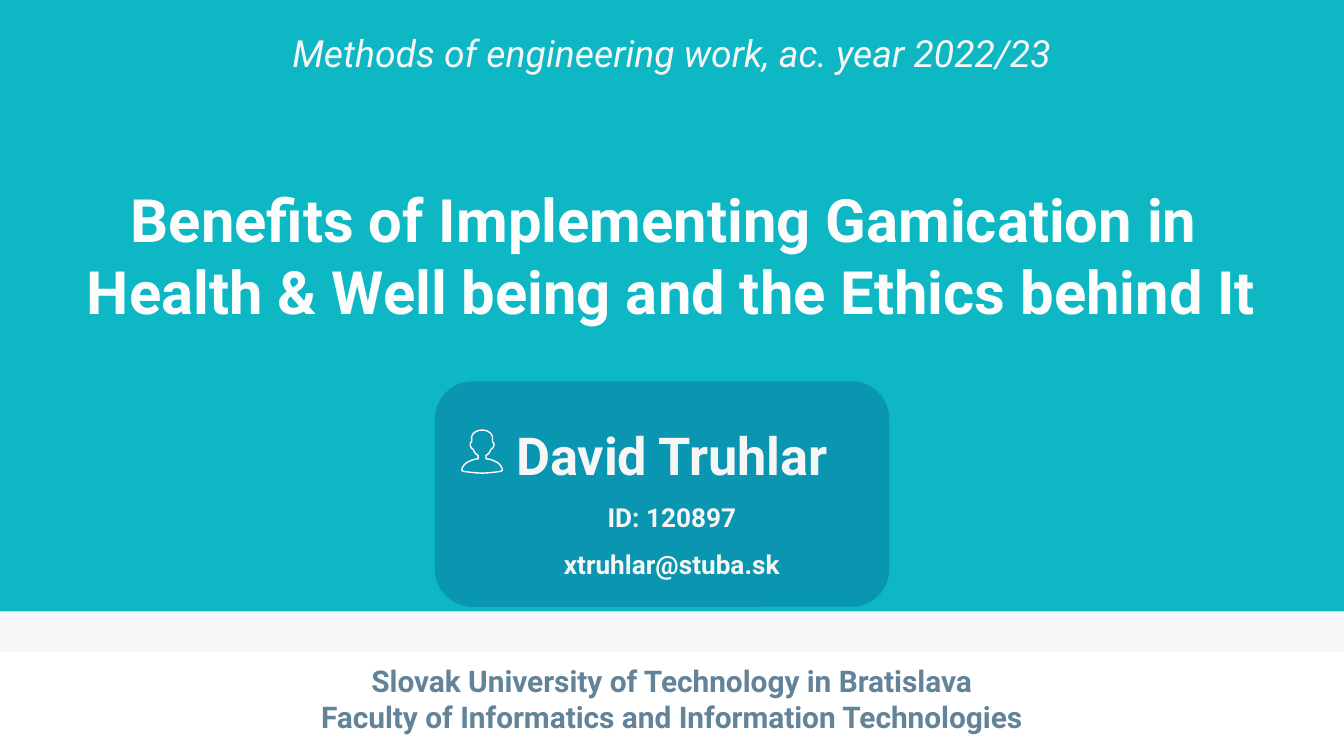
from dataclasses import dataclass

from pptx import Presentation
from pptx import util as u
from pptx.dml.color import RGBColor
from pptx.enum import shapes, text

Pt = u.Pt


@dataclass(frozen=True)
class Theme:
    font: str = "Roboto"
    white: str = "FFFFFF"
    title_text: str = "FDFDFD"
    light: str = "F6F6F6"
    teal: str = "0DB7C4"
    card: str = "0A95B0"
    slate: str = "638399"
    title: int = 32
    name: int = 28
    course: int = 20
    school: int = 16
    detail: int = 14


def write_text(frame, content, *, font, size, color, bold=False, italic=False):
    """Write centred paragraphs, one for each line of content."""
    for index, line in enumerate(content.split("\n")):
        paragraph = frame.paragraphs[0] if index == 0 else frame.add_paragraph()
        paragraph.alignment = text.PP_ALIGN.CENTER
        # A vertical tab breaks the line within a paragraph
        paragraph.text = line
        for run in paragraph.runs:
            run.font.name = font
            run.font.size = Pt(size)
            run.font.bold = bold
            run.font.italic = italic
            run.font.color.rgb = RGBColor.from_string(color)


class SlideBuilder:
    def __init__(self, slide, theme):
        self.slide = slide
        self.theme = theme

    def background(self, color):
        fill = self.slide.background.fill
        fill.solid()
        fill.fore_color.rgb = RGBColor.from_string(color)

    def block(self, kind, left, top, width, height, color):
        shape = self.slide.shapes.add_shape(
            kind, Pt(left), Pt(top), Pt(width), Pt(height))
        shape.shadow.inherit = False
        shape.fill.solid()
        shape.fill.fore_color.rgb = RGBColor.from_string(color)
        shape.line.fill.background()
        return shape

    def label(self, content, left, top, width, height, *, inset=3.6,
              anchor=text.MSO_ANCHOR.TOP, **style):
        box = self.slide.shapes.add_textbox(
            Pt(left), Pt(top), Pt(width), Pt(height))
        frame = box.text_frame
        frame.word_wrap = True
        frame.vertical_anchor = anchor
        frame.margin_top = frame.margin_bottom = Pt(inset)
        write_text(frame, content, font=self.theme.font, **style)
        return box

    def mirrored_outline(self, half, center, top, unit, color, weight):
        """Draw a closed outline from its right half, mirrored about center."""
        points = half + [(-x, y) for x, y in reversed(half[1:-1])]
        outline = self.slide.shapes.build_freeform(*points[0], scale=Pt(unit))
        outline.add_line_segments(points[1:], close=True)
        shape = outline.convert_to_shape(Pt(center), Pt(top))
        shape.shadow.inherit = False
        shape.fill.background()
        shape.line.color.rgb = RGBColor.from_string(color)
        shape.line.width = Pt(weight)
        return shape


def main():
    theme = Theme()
    presentation = Presentation()
    presentation.slide_width = Pt(720)
    presentation.slide_height = Pt(405)
    slide = presentation.slides.add_slide(presentation.slide_layouts[6])
    builder = SlideBuilder(slide, theme)

    # Background bands
    builder.background(theme.white)
    builder.block(shapes.MSO_SHAPE.RECTANGLE, 0, 327.6, 720, 21.6, theme.light)
    builder.block(shapes.MSO_SHAPE.RECTANGLE, 0, 0, 720, 327.6, theme.teal)

    # Title
    builder.label(
        "Benefits of Implementing Gamication in \v"
        "Health & Well being and the Ethics behind It",
        0, 90.5, 720, 91.4, inset=7.2, anchor=text.MSO_ANCHOR.BOTTOM,
        size=theme.title, color=theme.title_text, bold=True)

    # Author card
    builder.block(shapes.MSO_SHAPE.ROUNDED_RECTANGLE,
                  233, 204.3, 243.4, 120.8, theme.card)

    # Course, author and school
    builder.label("Methods of engineering work, ac. year 2022/23",
                  0, 12.7, 720, 31.7,
                  size=theme.course, color=theme.light, italic=True)
    builder.label("David Truhlar", 0, 223.2, 720, 41,
                  size=theme.name, color=theme.light, bold=True)
    builder.label("Slovak University of Technology in Bratislava\n"
                  "Faculty of Informatics and Information Technologies",
                  82, 351.4, 556, 46,
                  size=theme.school, color=theme.slate, bold=True)
    for line, top in (("xtruhlar@stuba.sk", 290.2), ("ID: 120897", 265)):
        builder.label(line, 0, top, 720, 24.5,
                      size=theme.detail, color=theme.light, bold=True)

    # Person icon: right half from the crown of the head to the base
    person = [(0, 0), (20, 2), (40, 8), (60, 20), (70, 30), (80, 50), (80, 90),
              (90, 100), (90, 120), (80, 140), (70, 145), (60, 165), (50, 180),
              (30, 195), (30, 220), (60, 224), (90, 235), (120, 250),
              (140, 270), (152, 290), (155, 310), (140, 317), (90, 323),
              (50, 327), (0, 330)]
    builder.mirrored_outline(person, 258.3, 230.4, 0.07, theme.white, 0.75)

    presentation.save("out.pptx")


if __name__ == "__main__":
    main()
